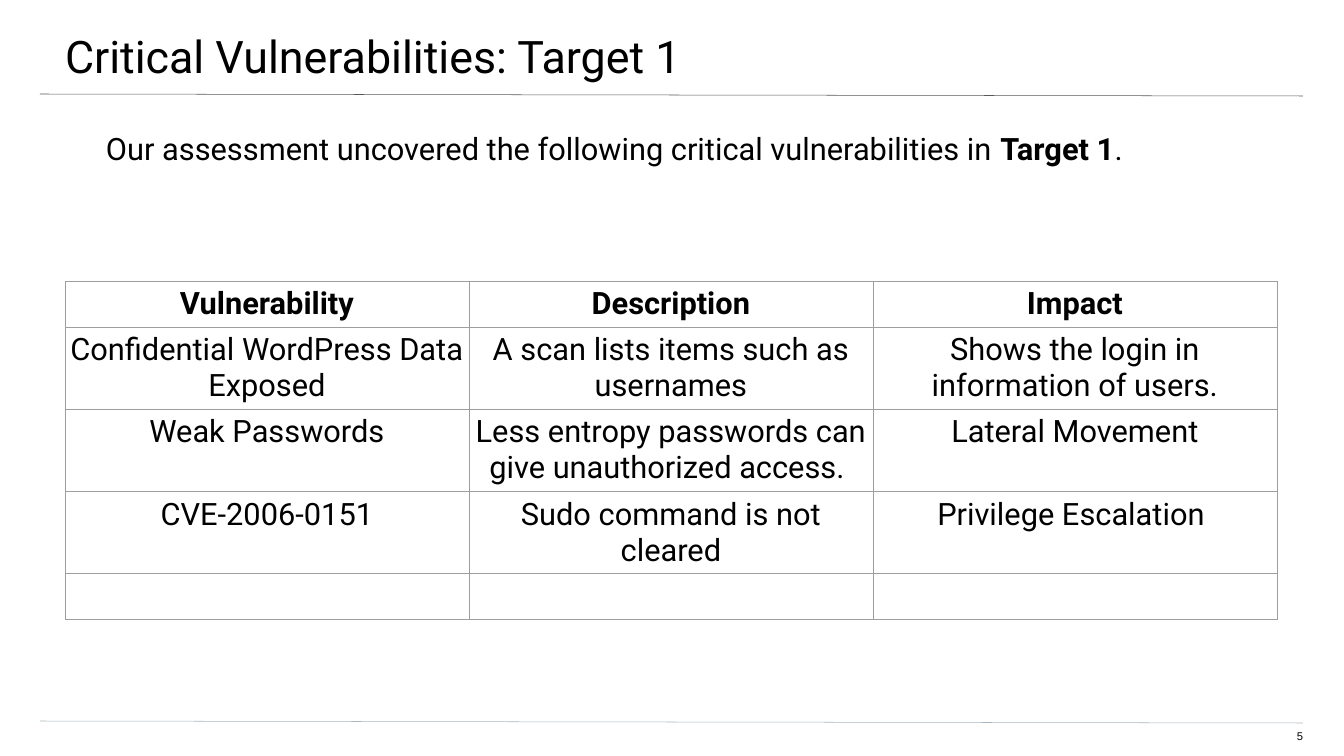
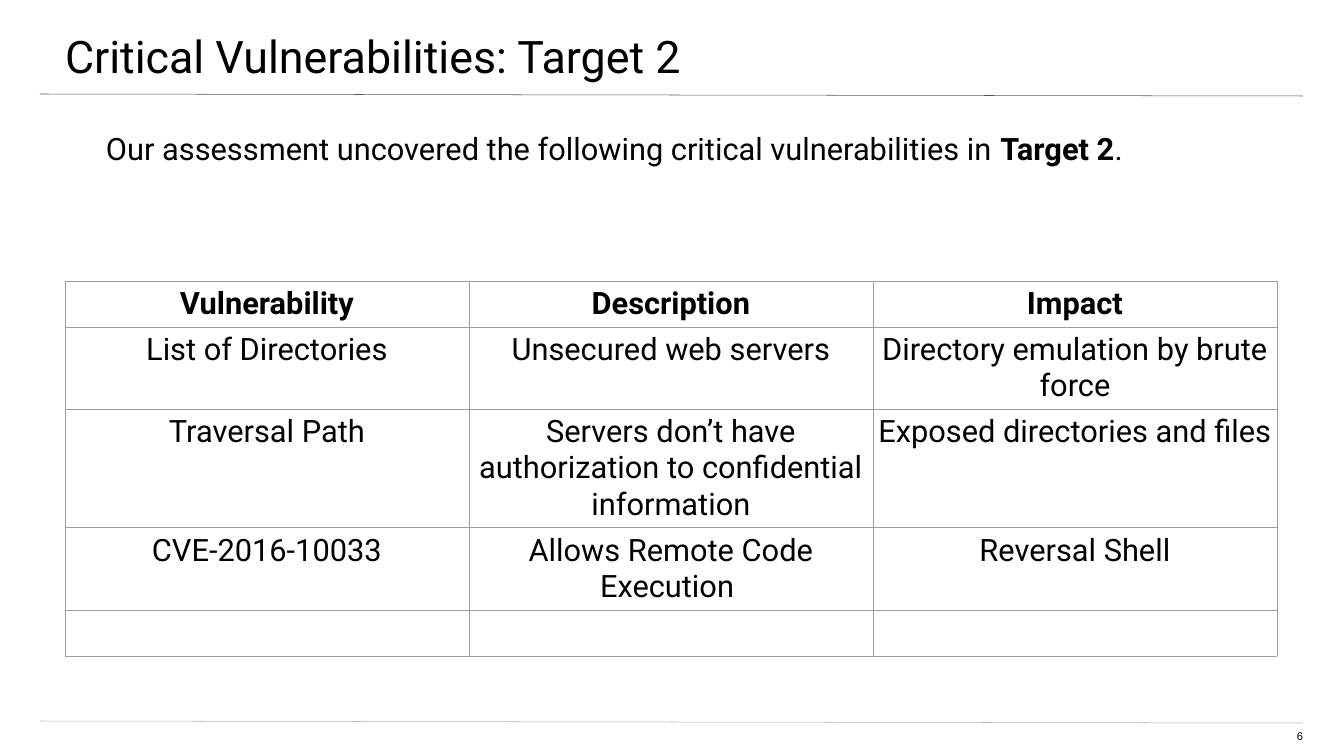
from lxml.etree import SubElement
from pptx import Presentation
from pptx.dml.color import RGBColor
from pptx.enum.shapes import MSO_CONNECTOR
from pptx.enum.text import MSO_ANCHOR, MSO_AUTO_SIZE, PP_ALIGN
from pptx.oxml import parse_xml
from pptx.oxml.ns import nsdecls, qn
from pptx.util import Pt

PX = 18143  # EMU in one px
BLACK = RGBColor(0x00, 0x00, 0x00)
WHITE = RGBColor(0xFF, 0xFF, 0xFF)
TITLE_RULE = RGBColor(0x59, 0x59, 0x59)
FOOTER_RULE = RGBColor(0xA9, 0xB7, 0xC0)
GRID = RGBColor(0x9E, 0x9E, 0x9E)

RULES = [(94, 96, TITLE_RULE), (721, 723, FOOTER_RULE)]
COLUMN_WIDTH = 404
LINE_HEIGHT = 36
CELL_MARGIN = 5

HEADER = ["Vulnerability", "Description", "Impact"]
# Each target: page number, findings with the number of text lines in the row
TARGETS = [
    ("Target 1", 5, [
        (2, ["Confidential WordPress Data Exposed",
             "A scan lists items such as usernames",
             "Shows the login in information of users."]),
        (2, ["Weak Passwords",
             "Less entropy passwords can give unauthorized access. ",
             "Lateral Movement"]),
        (2, ["CVE-2006-0151", "Sudo command is not cleared", "Privilege Escalation "]),
    ]),
    ("Target 2", 6, [
        (2, ["List of Directories", "Unsecured web servers",
             "Directory emulation by brute force"]),
        (3, ["Traversal Path",
             "Servers don’t have authorization to confidential information",
             "Exposed directories and files"]),
        (2, ["CVE-2016-10033", "Allows Remote Code Execution ", "Reversal Shell"]),
    ]),
]


def write(frame, spans, size=44, font="Roboto", align=PP_ALIGN.LEFT, margins=(0, 0, 0, 0)):
    """Fill a text frame with one paragraph of (text, bold) spans."""
    frame.word_wrap = True
    frame.auto_size = MSO_AUTO_SIZE.NONE
    frame.vertical_anchor = MSO_ANCHOR.TOP
    (frame.margin_left, frame.margin_top,
     frame.margin_right, frame.margin_bottom) = [margin * PX for margin in margins]
    para = frame.paragraphs[0]
    para.alignment = align
    for text, bold in spans:
        span = para.add_run()
        span.text = text
        span.font.size = Pt(size)
        span.font.name = font
        span.font.bold = bold
        span.font.color.rgb = BLACK


def place(shape, left, top, width, height):
    shape.left, shape.top, shape.width, shape.height = [
        length * PX for length in (left, top, width, height)]


deck = Presentation()
deck.slide_width, deck.slide_height = 1344 * PX, 756 * PX

for target, number, findings in TARGETS:
    page = deck.slides.add_slide(deck.slide_layouts[5])
    page.background.fill.solid()
    page.background.fill.fore_color.rgb = WHITE

    # Rules under the title and above the footer
    for start, end, color in RULES:
        rule = page.shapes.add_connector(
            MSO_CONNECTOR.STRAIGHT, 40 * PX, start * PX, 1303 * PX, end * PX)
        rule.line.color.rgb = color
        rule.line.width = Pt(0.75)
        SubElement(rule._element.spPr, qn("a:effectLst"))

    # Title
    title = page.shapes.title
    place(title, -2, 0, 1347, 79)
    write(title.text_frame, [(f"Critical Vulnerabilities: {target}", False)],
          size=64, margins=(67, 29, 40, 13))

    # Page number
    box = page.shapes.add_textbox(1265 * PX, 729 * PX, 38 * PX, 16 * PX)
    write(box.text_frame, [(str(number), False)], size=16, font="Arial",
          align=PP_ALIGN.RIGHT, margins=(0, 0, 0, 13))

    # Introduction
    box = page.shapes.add_textbox(39 * PX, 127 * PX, 1265 * PX, 544 * PX)
    write(box.text_frame,
          [("Our assessment uncovered the following critical vulnerabilities in ", False),
           (target, True), (".", False)],
          margins=(67, 3, 67, 135))

    # Table of findings, closed by an empty row
    rows = [(1, HEADER), *findings, (1, [""] * len(HEADER))]
    heights = [lines * LINE_HEIGHT + 2 * CELL_MARGIN for lines, _ in rows]
    table = page.shapes.add_table(
        len(rows), len(HEADER), 65 * PX, 281 * PX,
        COLUMN_WIDTH * len(HEADER) * PX, sum(heights) * PX).table
    table.first_row = table.horz_banding = False
    for column in table.columns:
        column.width = COLUMN_WIDTH * PX
    for index, (_, texts) in enumerate(rows):
        table.rows[index].height = heights[index] * PX
        for cell, text in zip(table.rows[index].cells, texts):
            cell.margin_left = cell.margin_right = CELL_MARGIN * PX
            cell.margin_top = cell.margin_bottom = CELL_MARGIN * PX
            for side in ("lnL", "lnR", "lnT", "lnB"):
                cell._tc.get_or_add_tcPr().append(parse_xml(
                    f'<a:{side} {nsdecls("a")} w="{Pt(0.75)}"><a:solidFill>'
                    f'<a:srgbClr val="{GRID}"/></a:solidFill></a:{side}>'))
            cell.fill.background()
            para = cell.text_frame.paragraphs[0]
            para.alignment = PP_ALIGN.CENTER
            if text:
                span = para.add_run()
                span.text = text
                span.font.size = Pt(44)
                span.font.name = "Roboto"
                span.font.bold = index == 0
                span.font.color.rgb = BLACK

deck.save("out.pptx")
